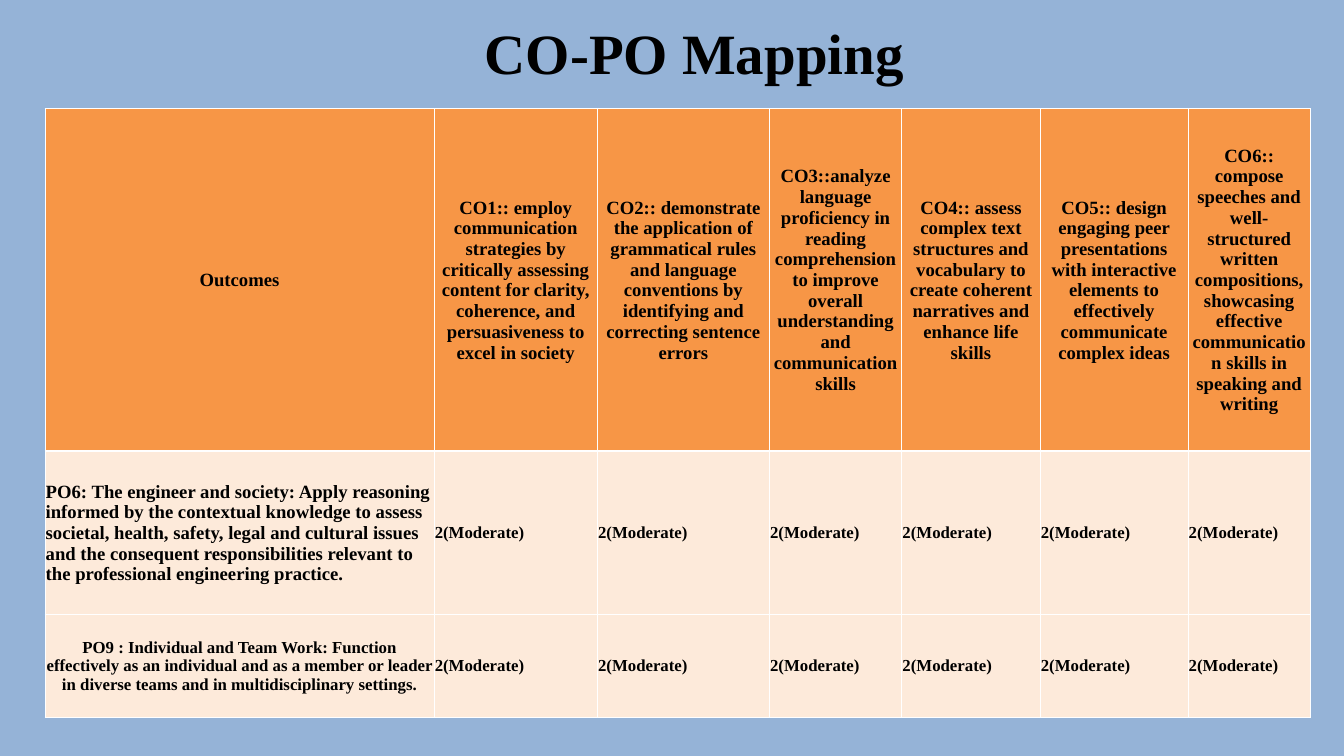
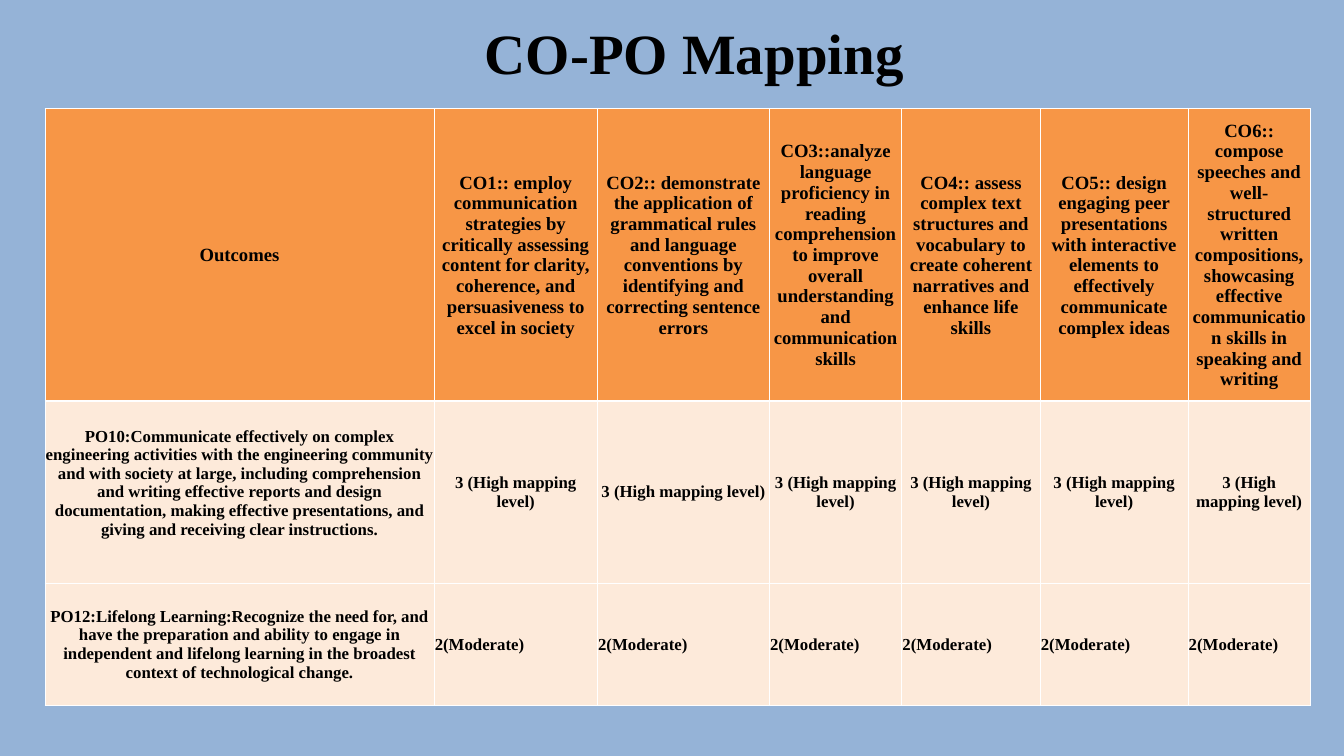
import pptx
import pptx.util
import pptx.dml.color
import pptx.enum.text
import pptx.oxml
import pptx.oxml.ns

Inches = pptx.util.Inches
Pt = pptx.util.Pt
LEFT = pptx.enum.text.PP_ALIGN.LEFT
CENTER = pptx.enum.text.PP_ALIGN.CENTER
MIDDLE = pptx.enum.text.MSO_ANCHOR.MIDDLE

COLORS = {
    "background": "95B3D7",
    "header": "F79646",
    "body": "FDEADA",
    "border": "FFFFFF",
    "text": "000000",
}
FONT = "Times New Roman"
TITLE = "CO-PO Mapping"
COLUMN_WIDTHS = [5.79, 2.43, 2.56, 1.97, 2.06, 2.2, 1.82]
HEADERS = [
    "Outcomes",
    "CO1:: employ communication strategies by critically assessing content for "
    "clarity, coherence, and persuasiveness to excel in society",
    "CO2:: demonstrate the application of grammatical rules and language "
    "conventions by identifying and correcting sentence errors",
    "CO3::analyze language proficiency in reading comprehension to improve "
    "overall understanding and communication skills",
    "CO4:: assess complex text structures and vocabulary to create coherent "
    "narratives and enhance life skills",
    "CO5:: design engaging peer presentations with interactive elements to "
    "effectively communicate complex ideas",
    "CO6:: compose speeches and well-structured written compositions, "
    "showcasing effective communication skills in speaking and writing",
]
MODERATE = ("2(Moderate)", {"align": LEFT})
HIGH = ("3 (High mapping level)", {})

MAPPINGS = [
    {
        "heights": [5.09, 2.44, 1.52],
        "outcomes": [
            (
                "PO6: The engineer and society: Apply reasoning informed by the "
                "contextual knowledge to assess societal, health, safety, legal "
                "and cultural issues and the consequent responsibilities relevant "
                "to the professional engineering practice.",
                {"size": 20, "align": LEFT},
                MODERATE,
            ),
            (
                "PO9 : Individual and Team Work: Function effectively as an "
                "individual and as a member or leader in diverse teams and in "
                "multidisciplinary settings.",
                {},
                MODERATE,
            ),
        ],
    },
    {
        "heights": [4.34, 2.71, 1.82],
        "outcomes": [
            (
                "PO10:Communicate effectively on complex engineering activities "
                "with the engineering community and with society at large, "
                "including comprehension and writing effective reports and design "
                "documentation, making effective presentations, and giving and "
                "receiving clear instructions.",
                {"bottom": 0.28},
                HIGH,
            ),
            (
                "PO12:Lifelong Learning:Recognize the need for, and have the "
                "preparation and ability to engage in independent and lifelong "
                "learning in the broadest context of technological change.",
                {},
                MODERATE,
            ),
        ],
    },
]


def rgb(name):
    return pptx.dml.color.RGBColor.from_string(COLORS[name])


def write_text(tf, text, size=18, align=CENTER):
    p = tf.paragraphs[0]
    p.alignment = align
    r = p.add_run()
    r.text = text
    r.font.name = FONT
    r.font.size = Pt(size)
    r.font.bold = True
    r.font.color.rgb = rgb("text")


class Deck:
    def __init__(self):
        self.prs = pptx.Presentation()
        self.prs.slide_width = Inches(20)
        self.prs.slide_height = Inches(11.25)
        self.s = None

    def add_slide(self):
        self.s = self.prs.slides.add_slide(self.prs.slide_layouts[6])
        fill = self.s.background.fill
        fill.solid()
        fill.fore_color.rgb = rgb("background")

    def add_title(self, text):
        sp = self.s.shapes.add_textbox(Inches(6.08), Inches(0.29), Inches(8.5), Inches(0.97))
        tf = sp.text_frame
        tf.word_wrap = True
        tf.vertical_anchor = MIDDLE
        tf.margin_left = tf.margin_right = Inches(0.18)
        tf.margin_top = tf.margin_bottom = Inches(0.09)
        write_text(tf, text, size=61)

    def set_borders(self, cell, widths):
        tc_pr = cell._tc.get_or_add_tcPr()
        for side, width in widths.items():
            tc_pr.append(pptx.oxml.parse_xml(
                f'<a:ln{side} {pptx.oxml.ns.nsdecls("a")} w="{Pt(width)}">'
                f'<a:solidFill><a:srgbClr val="{COLORS["border"]}"/></a:solidFill>'
                f'</a:ln{side}>'
            ))

    def fill_cell(self, cell, text, row, bottom=0, **text_format):
        cell.margin_left = cell.margin_right = cell.margin_top = Inches(0.01)
        cell.margin_bottom = Inches(bottom)
        cell.vertical_anchor = MIDDLE
        self.set_borders(cell, {
            "L": 1,
            "R": 1,
            "T": 3 if row == 1 else 1,
            "B": 3 if row == 0 else 1,
        })
        cell.fill.solid()
        cell.fill.fore_color.rgb = rgb("header" if row == 0 else "body")
        write_text(cell.text_frame, text, **text_format)

    def add_mapping_table(self, heights, outcomes):
        table = self.s.shapes.add_table(
            len(heights), len(COLUMN_WIDTHS), Inches(0.67), Inches(1.62),
            Inches(sum(COLUMN_WIDTHS)), Inches(sum(heights)),
        ).table
        for column, width in zip(table.columns, COLUMN_WIDTHS):
            column.width = Inches(width)
        for table_row, height in zip(table.rows, heights):
            table_row.height = Inches(height)
        rows = [[(text, {"size": 20}) for text in HEADERS]]
        for text, text_format, rating in outcomes:
            rows.append([(text, text_format)] + [rating] * (len(HEADERS) - 1))
        for i, entries in enumerate(rows):
            for j, (text, text_format) in enumerate(entries):
                self.fill_cell(table.cell(i, j), text, i, **text_format)


def main():
    deck = Deck()
    for mapping in MAPPINGS:
        deck.add_slide()
        deck.add_title(TITLE)
        deck.add_mapping_table(**mapping)
    deck.prs.save("out.pptx")


if __name__ == "__main__":
    main()
